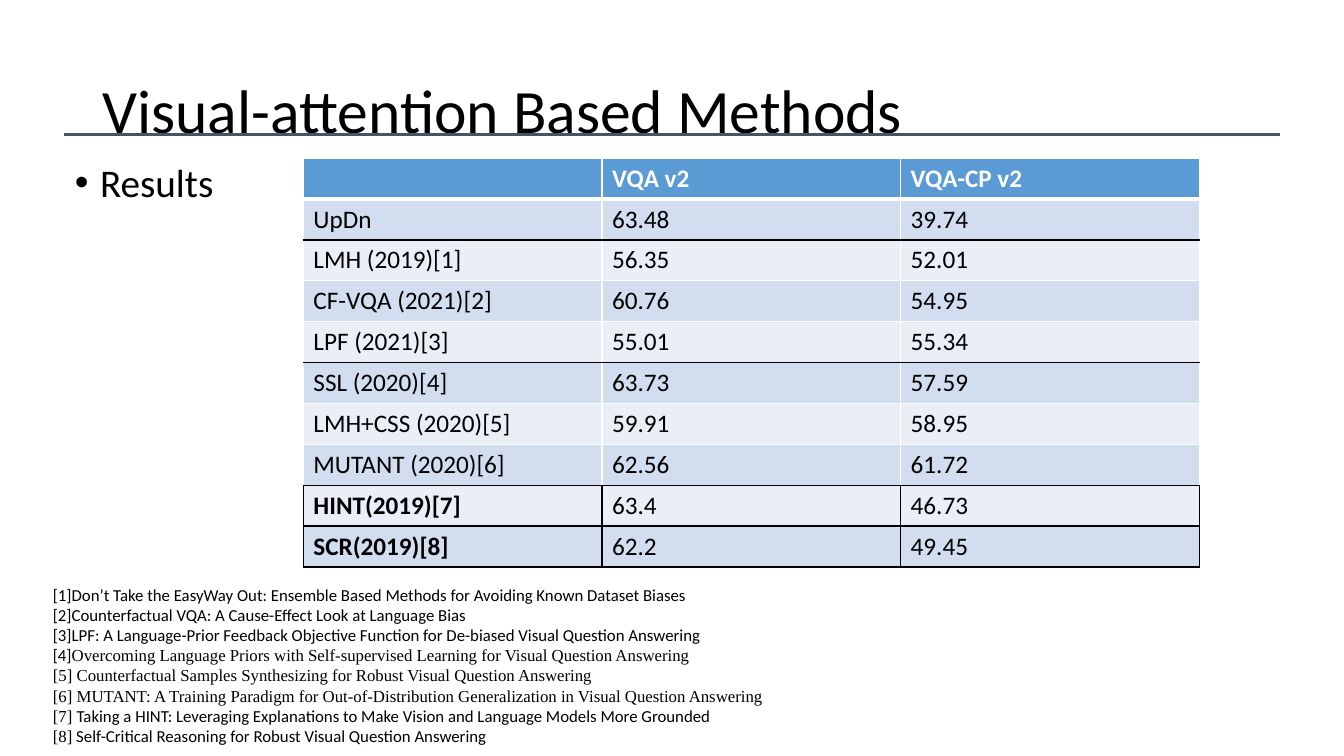
from dataclasses import dataclass

from lxml.etree import SubElement
from pptx import Presentation
from pptx.dml.color import RGBColor
from pptx.enum.shapes import MSO_CONNECTOR
from pptx.enum.text import MSO_ANCHOR, MSO_AUTO_SIZE, PP_ALIGN
from pptx.oxml.ns import qn
from pptx.util import Pt


@dataclass(frozen=True)
class Theme:
    """Colours, fonts and type sizes of the slide."""
    ink: str = "000000"
    paper: str = "FFFFFF"
    rule: str = "44546A"
    header: str = "5B9BD5"
    bands: tuple = ("EAEFF7", "D2DEEF")
    sans: str = "Calibri"
    serif: str = "Times New Roman"
    title: int = 44
    body: int = 28
    table: int = 18
    reference: int = 12


THEME = Theme()

HEADINGS = ("", "VQA v2", "VQA-CP v2")
SCORES = (
    ("UpDn", "63.48", "39.74"),
    ("LMH (2019)[1]", "56.35", "52.01"),
    ("CF-VQA (2021)[2]", "60.76", "54.95"),
    ("LPF (2021)[3]", "55.01", "55.34"),
    ("SSL (2020)[4]", "63.73", "57.59"),
    ("LMH+CSS (2020)[5]", "59.91", "58.95"),
    ("MUTANT (2020)[6]", "62.56", "61.72"),
    ("HINT(2019)[7]", "63.4", "46.73"),
    ("SCR(2019)[8]", "62.2", "49.45"),
)
GROUP_ENDS = (1, 4, 7)
FIRST_FRAMED = 8

SANS, SERIF = THEME.sans, THEME.serif
REFERENCES = (
    (("[1]Don’t Take the EasyWay Out: Ensemble Based Methods for Avoiding Known Dataset Biases", SANS),),
    (("[2]Counterfactual VQA: A Cause-Effect Look at Language Bias", SANS),),
    (("[3]LPF: A Language-Prior Feedback Objective Function for De-biased Visual Question Answering", SANS),),
    (("[4]", SANS),
     ("Overcoming Language Priors with Self-supervised Learning for Visual Question Answering", SERIF)),
    (("[5] Counterfactual Samples Synthesizing for Robust Visual Question Answering", SERIF),),
    (("[6] MUTANT: A Training Paradigm for Out-of-Distribution Generalization in Visual Question Answering", SERIF),),
    (("[7] ", SERIF),
     ("Taking a HINT: Leveraging Explanations to Make Vision and Language Models More Grounded", SANS)),
    (("[8]", SERIF), (" Self-Critical Reasoning for Robust Visual Question Answering", SANS)),
)


def style(font, size, color=THEME.ink, face=THEME.sans, bold=False):
    """Apply size, colour, face and weight to a font."""
    font.size, font.name, font.bold = Pt(size), face, bold
    font.color.rgb = RGBColor.from_string(color)


def place(part, box):
    """Move a part to a box of left, top, width and height in points."""
    part.left, part.top, part.width, part.height = map(Pt, box)


def fill_placeholder(placeholder, box, text, size, anchor):
    """Place a placeholder and set its single paragraph."""
    place(placeholder, box)
    frame = placeholder.text_frame
    frame.text = text
    frame.auto_size = MSO_AUTO_SIZE.NONE
    frame.vertical_anchor = anchor
    paragraph = frame.paragraphs[0]
    paragraph.alignment = PP_ALIGN.LEFT
    paragraph.line_spacing = 0.9
    paragraph.space_before = Pt(0)
    style(paragraph.runs[0].font, size)
    return paragraph


def add_heading(slide, box):
    """Set the title and the rule that runs beneath it."""
    left, top, width, height = box
    fill_placeholder(slide.shapes.title, box, "Visual-attention Based Methods",
                     THEME.title, MSO_ANCHOR.MIDDLE)
    rule_left, rule_top = left - 20, top + 67
    rule = slide.shapes.add_connector(
        MSO_CONNECTOR.STRAIGHT, Pt(rule_left), Pt(rule_top),
        Pt(rule_left + width + 40), Pt(rule_top))
    rule.line.color.rgb = RGBColor.from_string(THEME.rule)
    rule.line.width = Pt(2)
    SubElement(rule.element.spPr, qn("a:effectLst"))


def add_topic(slide, box):
    """Set the bulleted topic in the body placeholder."""
    topic = fill_placeholder(slide.placeholders[1], box, "Results",
                             THEME.body, MSO_ANCHOR.TOP)
    properties = topic.runs[0].font and topic._p.get_or_add_pPr()
    properties.set("marL", str(Pt(18)))
    properties.set("indent", str(-Pt(18)))
    SubElement(properties, qn("a:buFont"), typeface="Arial")
    SubElement(properties, qn("a:buChar"), char="•")


def edge_below(row):
    """Return the colour and width of the line under a table row."""
    if row == 0:
        return THEME.paper, 3
    framed = row in GROUP_ENDS or row >= FIRST_FRAMED
    return (THEME.ink if framed else THEME.paper), 1


def add_borders(cell, row):
    """Draw the four borders of a cell in the given row."""
    side = (THEME.ink if row >= FIRST_FRAMED else THEME.paper), 1
    top = edge_below(row - 1) if row else (THEME.paper, 1)
    edges = {"lnL": side, "lnR": side, "lnT": top, "lnB": edge_below(row)}
    properties = cell._tc.get_or_add_tcPr()
    for tag, (color, width) in edges.items():
        line = SubElement(properties, qn(f"a:{tag}"), w=str(Pt(width)))
        SubElement(SubElement(line, qn("a:solidFill")), qn("a:srgbClr"), val=color)


def add_scores(slide, box):
    """Draw the table of scores by method and data set."""
    rows = (HEADINGS, *SCORES)
    table = slide.shapes.add_table(len(rows), len(HEADINGS), *map(Pt, box)).table
    for row, values in enumerate(rows):
        for column, value in enumerate(values):
            cell = table.cell(row, column)
            add_borders(cell, row)
            cell.fill.solid()
            band = THEME.bands[row % 2] if row else THEME.header
            cell.fill.fore_color.rgb = RGBColor.from_string(band)
            cell.text = value
            bold = row == 0 or (row >= FIRST_FRAMED and column == 0)
            style(cell.text_frame.paragraphs[0].font, THEME.table,
                  THEME.ink if row else THEME.paper, bold=bold)


def add_references(slide, box):
    """List the cited papers."""
    frame = slide.shapes.add_textbox(*map(Pt, box)).text_frame
    frame.word_wrap = False
    frame.auto_size = MSO_AUTO_SIZE.SHAPE_TO_FIT_TEXT
    for number, pieces in enumerate(REFERENCES):
        reference = frame.add_paragraph() if number else frame.paragraphs[0]
        for text, face in pieces:
            piece = reference.add_run()
            piece.text = text
            style(piece.font, THEME.reference, face=face)


def main():
    """Build and save the slide."""
    deck = Presentation()
    deck.slide_width, deck.slide_height = Pt(960), Pt(540)
    slide = deck.slides.add_slide(deck.slide_layouts[1])
    add_heading(slide, (66, 28.8, 828, 104.4))
    add_topic(slide, (46.3, 113, 867.6, 380.9))
    add_references(slide, (30.7, 414, 528.5, 123.8))
    add_scores(slide, (216.7, 113, 640, 292))
    deck.save("out.pptx")


if __name__ == "__main__":
    main()
